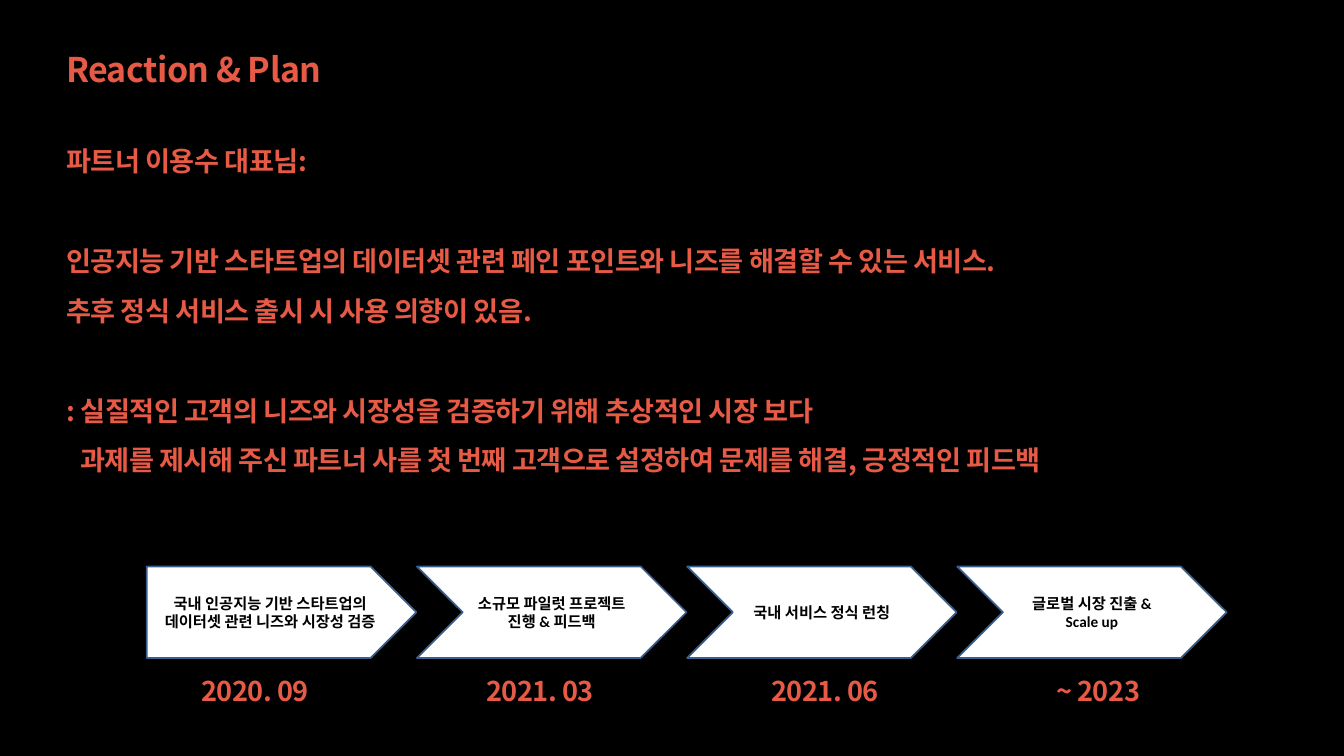
from dataclasses import dataclass

from lxml.etree import SubElement
from pptx import Presentation
from pptx.dml.color import RGBColor
from pptx.enum.shapes import MSO_SHAPE
from pptx.enum.text import MSO_ANCHOR, MSO_AUTO_SIZE, PP_ALIGN
from pptx.oxml.ns import qn
from pptx.util import Pt


@dataclass(frozen=True)
class Theme:
    black = RGBColor(0x00, 0x00, 0x00)
    white = RGBColor(0xFF, 0xFF, 0xFF)
    coral = RGBColor(0xE6, 0x5A, 0x46)
    outline = RGBColor(0x3A, 0x5F, 0x8C)
    heading_font = "Noto Sans CJK KR"
    step_font = "Calibri"
    title_size = 40
    body_size = 32
    step_size = 18


theme = Theme()


def write(sp, lines, size=theme.body_size, font=theme.heading_font, color=theme.coral,
          align=PP_ALIGN.LEFT, anchor=MSO_ANCHOR.TOP, spacing=1.5, tracking=-60,
          margins=(0, 1.5, 0, 0)):
    """Fill a shape with lines, each a (text, space before, left indent) tuple in points."""
    tf = sp.text_frame
    tf.word_wrap = True
    tf.auto_size = MSO_AUTO_SIZE.NONE
    tf.vertical_anchor = anchor
    tf.margin_left, tf.margin_top, tf.margin_right, tf.margin_bottom = map(Pt, margins)
    for i, (text, before, indent) in enumerate(lines):
        p = tf.paragraphs[0] if i == 0 else tf.add_paragraph()
        pPr = p._p.get_or_add_pPr()
        pPr.set("marL", str(Pt(indent)))
        pPr.set("indent", "0")
        SubElement(pPr, qn("a:buNone"))
        p.alignment = align
        p.line_spacing = spacing
        p.space_before = Pt(before)
        p.text = text
        for r in p.runs:
            r.font.size = Pt(size)
            r.font.name = font
            r.font.bold = True
            r.font.color.rgb = color
            r.font._element.set("spc", str(tracking))


def place(sp, left, top, width, height):
    sp.left, sp.top, sp.width, sp.height = map(Pt, (left, top, width, height))


prs = Presentation()
prs.slide_width, prs.slide_height = Pt(1583.28), Pt(890.64)
s = prs.slides.add_slide(prs.slide_layouts[1])
s.background.fill.solid()
s.background.fill.fore_color.rgb = theme.black

title, body = s.placeholders
place(title, 77.8, 55.4, 972.7, 49.7)
write(title, [("Reaction & Plan", 0, 0)], size=theme.title_size, spacing=1.0)

place(body, 77.8, 149.8, 1440, 406.8)
write(body, [
    ("파트너 이용수 대표님:", 0, 0),
    ("인공지능 기반 스타트업의 데이터셋 관련 페인 포인트와 니즈를 해결할 수 있는 서비스.", 60, 0),
    ("추후 정식 서비스 출시 시 사용 의향이 있음.", 1.1, 0),
    (": 실질적인 고객의 니즈와 시장성을 검증하기 위해 추상적인 시장 보다", 60, 0),
    ("과제를 제시해 주신 파트너 사를 첫 번째 고객으로 설정하여 문제를 해결, 긍정적인 피드백", 0, 16.5),
])

steps = [
    ("2020. 09", ["국내 인공지능 기반 스타트업의", "데이터셋 관련 니즈와 시장성 검증"]),
    ("2021. 03", ["소규모 파일럿 프로젝트 진행 & 피드백"]),
    ("2021. 06", ["국내 서비스 정식 런칭"]),
    ("~ 2023", ["글로벌 시장 진출 &", "Scale up"]),
]
for i, (date, lines) in enumerate(steps):
    kind = MSO_SHAPE.CHEVRON if i else MSO_SHAPE.PENTAGON
    arrow = s.shapes.add_shape(kind, Pt(173 + 318.2 * i), Pt(667.4), Pt(317.5), Pt(107.8))
    arrow.shadow.inherit = False
    arrow.fill.solid()
    arrow.fill.fore_color.rgb = theme.white
    arrow.line.color.rgb = theme.outline
    arrow.line.width = Pt(2)
    write(arrow, [(line, 0, 0) for line in lines], size=theme.step_size, font=theme.step_font,
          color=theme.black, align=PP_ALIGN.CENTER, anchor=MSO_ANCHOR.MIDDLE, spacing=1.0,
          tracking=0, margins=(7.2, 3.6, 7.2, 3.6))

    label = s.shapes.add_textbox(Pt(236.9 + 335.8 * i), Pt(773.5), Pt(203.8), Pt(53.3))
    write(label, [(date, 0, 0)])

prs.save("out.pptx")
